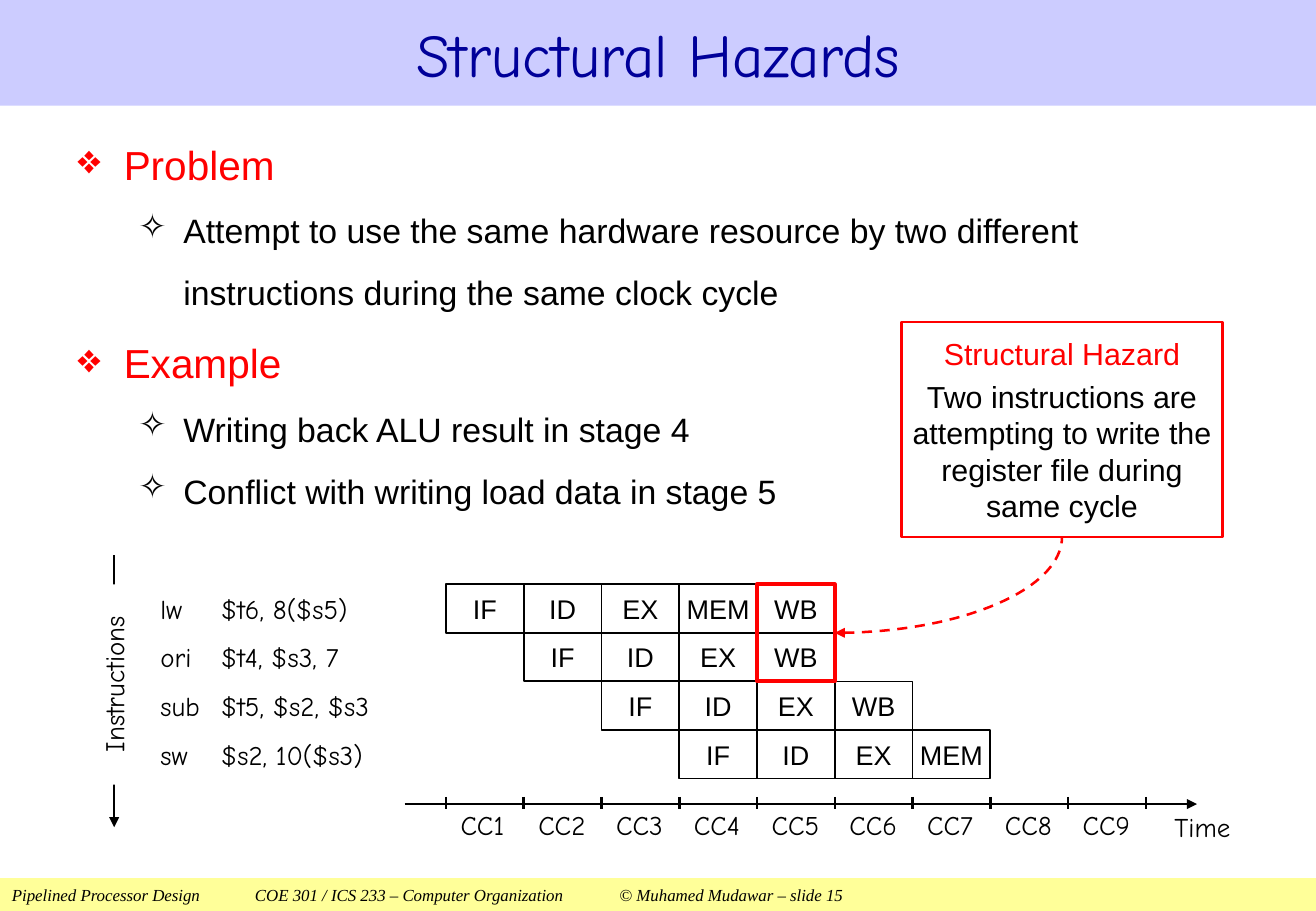
import pptx
import pptx.util
import pptx.dml.color
import pptx.enum.dml
import pptx.enum.shapes
import pptx.enum.text
from lxml import etree

Inches = pptx.util.Inches
Pt = pptx.util.Pt
RGBColor = pptx.dml.color.RGBColor
ALIGN = pptx.enum.text.PP_ALIGN
ANCHOR = pptx.enum.text.MSO_ANCHOR
RECTANGLE = pptx.enum.shapes.MSO_SHAPE.RECTANGLE
STRAIGHT = pptx.enum.shapes.MSO_CONNECTOR.STRAIGHT
DRAWING = "http://schemas.openxmlformats.org/drawingml/2006/main"

BLACK = RGBColor(0x00, 0x00, 0x00)
WHITE = RGBColor(0xFF, 0xFF, 0xFF)
RED = RGBColor(0xFF, 0x00, 0x00)
NAVY = RGBColor(0x00, 0x00, 0x99)
LAVENDER = RGBColor(0xCC, 0xCC, 0xFF)
YELLOW = RGBColor(0xFF, 0xFF, 0x99)
SANS, HAND, SERIF = "Arial", "Comic Neue", "Times New Roman"

TITLE = "Structural Hazards"
FOOTER = ("Pipelined Processor Design\tCOE 301 / ICS 233 – Computer Organization"
          "\t© Muhamed Mudawar – slide 15")
POINTS = [
    ("❖", "Problem"),
    ("✧", "Attempt to use the same hardware resource by two different"),
    ("", "instructions during the same clock cycle"),
    ("❖", "Example"),
    ("✧", "Writing back ALU result in stage 4"),
    ("✧", "Conflict with writing load data in stage 5"),
]
PIPELINE = [
    ("lw\t$t6, 8($s5)", ["IF", "ID", "EX", "MEM", "WB"]),
    ("ori\t$t4, $s3, 7", ["IF", "ID", "EX", "WB"]),
    ("sub\t$t5, $s2, $s3", ["IF", "ID", "EX", "WB"]),
    ("sw\t$s2, 10($s3)", ["IF", "ID", "EX", "MEM"]),
]
CALLOUT = [
    ("Structural Hazard", RED),
    ("Two instructions are attempting to write the register file during same cycle", BLACK),
]
CYCLES = 9
CONFLICT_CYCLE = 5
GRID_LEFT, GRID_TOP = 3.67, 4.81
CELL_WIDTH, CELL_HEIGHT = 0.64, 0.4
AXIS_TOP = 6.62
CALLOUT_BOX = (7.42, 2.65, 2.64, 1.77)


def add_xml(parent, tag, **attributes):
    return etree.SubElement(parent, f"{{{DRAWING}}}{tag}", attributes)


def add_text(para, text, size, font, color, italic=False):
    span = para.add_run()
    span.text = text
    span.font.size = Pt(size)
    span.font.name = font
    span.font.color.rgb = color
    span.font.italic = italic


def add_tabs(para, stops):
    tabs = add_xml(para._p.get_or_add_pPr(), "tabLst")
    for stop in stops:
        add_xml(tabs, "tab", pos=str(Inches(stop)), algn="l")


def set_frame(box, margins, anchor):
    frame = box.text_frame
    frame.word_wrap = True
    frame.auto_size = pptx.enum.text.MSO_AUTO_SIZE.NONE
    frame.vertical_anchor = anchor
    (frame.margin_left, frame.margin_top,
     frame.margin_right, frame.margin_bottom) = map(Inches, margins)
    return frame.paragraphs[0]


def add_label(place, text, size, font, margins=(0, 0, 0, 0), anchor=ANCHOR.TOP, align=ALIGN.LEFT):
    box = page.shapes.add_textbox(*map(Inches, place))
    para = set_frame(box, margins, anchor)
    para.alignment = align
    add_text(para, text, size, font, BLACK)
    return para


def add_box(place, fill=None, line=None, width=1):
    box = page.shapes.add_shape(RECTANGLE, *map(Inches, place))
    box.shadow.inherit = False
    paint(box, fill, line, width)
    return box


def paint(box, fill, line, width):
    if fill is None:
        box.fill.background()
    else:
        box.fill.solid()
        box.fill.fore_color.rgb = fill
    if line is None:
        box.line.fill.background()
    else:
        box.line.color.rgb = line
        box.line.width = Pt(width)


def add_line(start, end, width, arrow=False):
    line = page.shapes.add_connector(STRAIGHT, *map(Inches, start + end))
    line.line.color.rgb = BLACK
    line.line.width = Pt(width)
    if arrow:
        add_xml(line.line._get_or_add_ln(), "tailEnd", type="triangle")
    add_xml(line._element.spPr, "effectLst")


def column_left(cycle):
    return GRID_LEFT + (cycle - 1) * CELL_WIDTH


deck = pptx.Presentation()
deck.slide_width, deck.slide_height = Inches(10.83), Inches(7.5)
page = deck.slides.add_slide(deck.slide_layouts[5])

footer = add_box((0, 7.23, 10.83, 0.27), YELLOW)
para = set_frame(footer, (0.1, 0, 0.1, 0), ANCHOR.MIDDLE)
para.alignment = ALIGN.LEFT
add_tabs(para, [2, 5])
add_text(para, FOOTER, 10, SERIF, BLACK, italic=True)

title = page.shapes.title
title.left, title.top, title.width, title.height = map(Inches, (0, 0, 10.83, 0.87))
paint(title, LAVENDER, None, 0)
para = set_frame(title, (0.1, 0.05, 0.1, 0.05), ANCHOR.MIDDLE)
para.alignment = ALIGN.CENTER
add_text(para, TITLE, 36, HAND, NAVY)

body = page.shapes.add_textbox(*map(Inches, (0.54, 1.02, 9.78, 3.38)))
para = set_frame(body, (0.1, 0.05, 0.1, 0.05), ANCHOR.TOP)
for index, (bullet, text) in enumerate(POINTS):
    if index:
        para = body.text_frame.add_paragraph()
    heading = bullet == "❖"
    size = 24 if heading else 20
    properties = para._p.get_or_add_pPr()
    properties.set("marL", str(Inches(0.38 if heading else 0.87)))
    if bullet:
        properties.set("indent", str(Inches(-0.38 if heading else -0.37)))
        add_xml(properties, "buChar", char=bullet)
    para.line_spacing = 1.2
    para.space_before = Pt(size * 0.4)
    add_text(para, text, size, SANS, RED if heading else BLACK)

for row, (instruction, stages) in enumerate(PIPELINE):
    top = GRID_TOP + row * CELL_HEIGHT
    para = add_label((1.32, top, 2.27, CELL_HEIGHT), instruction, 16, HAND, anchor=ANCHOR.MIDDLE)
    add_tabs(para, [0.5])
    for cycle, stage in enumerate(stages, row + 1):
        cell = add_box((column_left(cycle), top, CELL_WIDTH, CELL_HEIGHT), line=BLACK)
        para = set_frame(cell, (0, 0.05, 0, 0.05), ANCHOR.MIDDLE)
        para.alignment = ALIGN.CENTER
        add_text(para, stage, 16, SANS, BLACK)

add_line((3.33, AXIS_TOP), (9.85, AXIS_TOP), 1.5, arrow=True)
add_label((9.3, AXIS_TOP, 1.07, 0.37), "Time", 16, HAND, (0.22, 0.05, 0.1, 0.05), align=ALIGN.CENTER)
for cycle in range(1, CYCLES + 2):
    left = column_left(cycle)
    add_line((left, AXIS_TOP - 0.06), (left, AXIS_TOP + 0.04), 1.5)
    if cycle <= CYCLES:
        add_label((left, 6.66, CELL_WIDTH, 0.3), f"CC{cycle}", 16, HAND, (0.12, 0, 0, 0))

add_line((0.94, 4.57), (0.94, 6.81), 1, arrow=True)
order_label = add_box((0.11, 5.42, 1.65, 0.43), WHITE)
order_label.rotation = 270
para = set_frame(order_label, (0, 0, 0, 0), ANCHOR.MIDDLE)
para.alignment = ALIGN.CENTER
add_text(para, "Instructions", 16, HAND, BLACK)

callout = add_box(CALLOUT_BOX, line=RED, width=1.5)
para = set_frame(callout, (0.08, 0, 0.08, 0), ANCHOR.MIDDLE)
for index, (text, color) in enumerate(CALLOUT):
    if index:
        para = callout.text_frame.add_paragraph()
    para.alignment = ALIGN.CENTER
    para.space_before = Pt(4)
    add_text(para, text, 18, SANS, color)
add_box((column_left(CONFLICT_CYCLE), GRID_TOP, CELL_WIDTH, 2 * CELL_HEIGHT), line=RED, width=2.25)

start_x, start_y = column_left(CONFLICT_CYCLE + 1), GRID_TOP + CELL_HEIGHT
end_x, end_y = CALLOUT_BOX[0] + CALLOUT_BOX[2] / 2, CALLOUT_BOX[1] + CALLOUT_BOX[3]
middle_x, middle_y = start_x + 0.55 * (end_x - start_x), start_y + 0.45 * (end_y - start_y)
curve = []
for step in range(41):
    t = step / 40
    a, b, c, d = (1 - t) ** 3, 3 * t * (1 - t) ** 2, 3 * t ** 2 * (1 - t), t ** 3
    curve.append((Inches((a * start_x + b * middle_x + (c + d) * end_x)),
                  Inches((a + b) * start_y + c * middle_y + d * end_y)))
builder = page.shapes.build_freeform(*curve[0])
builder.add_line_segments(curve[1:], close=False)
pointer = builder.convert_to_shape()
pointer.shadow.inherit = False
paint(pointer, None, RED, 1.5)
pointer.line.dash_style = pptx.enum.dml.MSO_LINE.DASH
add_xml(pointer.line._get_or_add_ln(), "headEnd", type="triangle")

deck.save("out.pptx")
